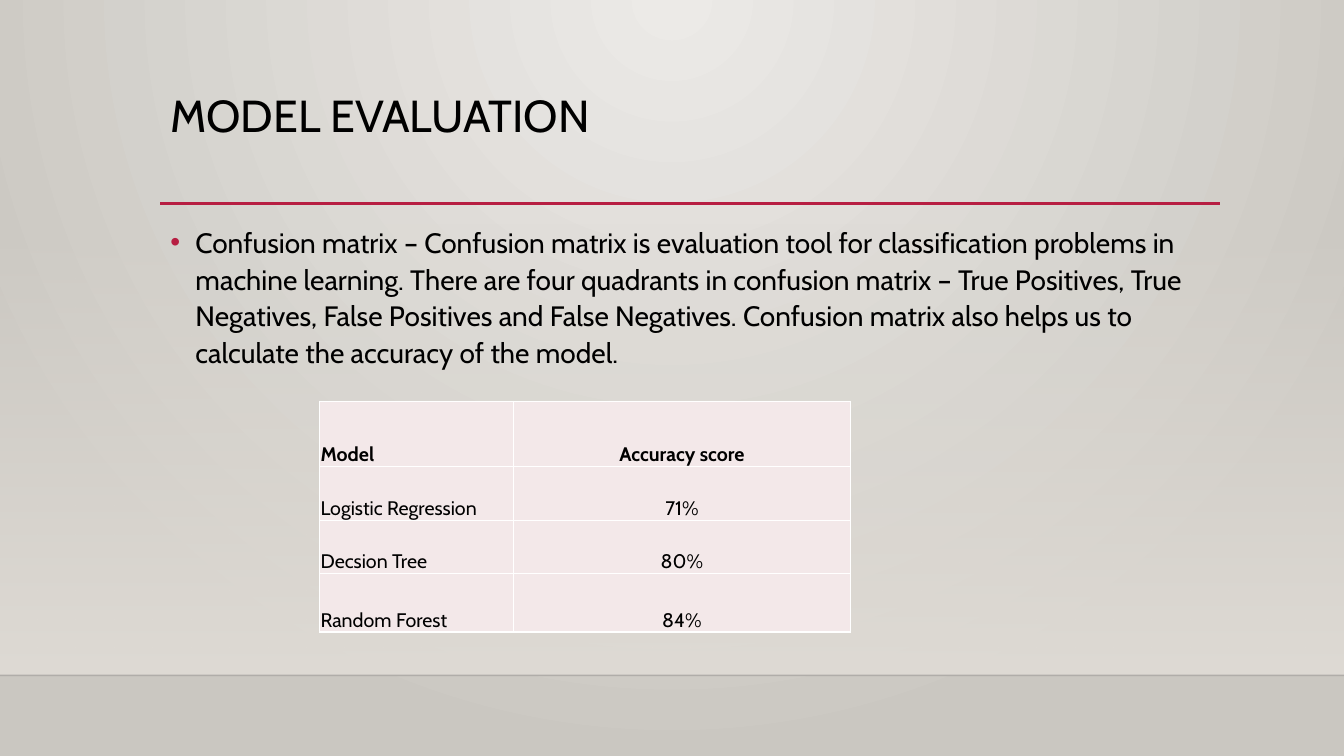
from dataclasses import dataclass

from lxml.etree import SubElement, _Element as Element
from pptx import Presentation
from pptx.dml.color import RGBColor
from pptx.enum.shapes import MSO_CONNECTOR as Connector, MSO_SHAPE as Shape
from pptx.enum.text import MSO_ANCHOR as Anchor, PP_ALIGN as Align
from pptx.oxml import parse_xml
from pptx.oxml.ns import nsdecls, qn
from pptx.slide import Slide
from pptx.table import _Cell as Cell
from pptx.text.text import _Paragraph as Paragraph
from pptx.util import Inches, Pt

SLIDE_WIDTH, SLIDE_HEIGHT = Inches(13.33), Inches(7.5)
FONT = "Cabin"
BLACK = RGBColor(0x00, 0x00, 0x00)
WHITE = RGBColor(0xFF, 0xFF, 0xFF)
CRIMSON = RGBColor(0xB7, 0x1E, 0x42)
BLUSH = RGBColor(0xF3, 0xE8, 0xE9)
LIGHT_STONE = RGBColor(0xEC, 0xEA, 0xE7)
STONE = RGBColor(0xDF, 0xDB, 0xD5)
DARK_STONE = RGBColor(0xCA, 0xC7, 0xC1)
FLOOR_EDGE = RGBColor(0x00, 0x00, 0x01)

# Shares of the slide, in percent
MARGIN, CONTENT_WIDTH = 11.93, 78.75
FLOOR_TOP = 89.33
WALL_TOP = 29.47
TABLE_LEFT, TABLE_TOP = 23.78, 53.07
COLUMN_SHARES = (14.4, 25.13)
ROW_SHARES = (8.67, 7.07, 7.07, 7.73)

SCORES = (
    ("Model", "Accuracy score"),
    ("Logistic Regression", "71%"),
    ("Decsion Tree", "80%"),
    ("Random Forest", "84%"),
)


@dataclass(frozen=True)
class Rule:
    left: float
    right: float
    y: float
    color: RGBColor
    width: float
    opacity: int = 100


@dataclass(frozen=True)
class TextBlock:
    top: float
    height: float
    text: str
    size: int
    line_spacing: float
    bulleted: bool = False


@dataclass(frozen=True)
class Stop:
    position: int
    color: RGBColor
    opacity: int = 100


RULES = (
    Rule(0, 100, FLOOR_TOP, FLOOR_EDGE, 1, opacity=20),
    Rule(MARGIN, 90.77, 26.93, CRIMSON, 2.5),
)
TEXT_BLOCKS = (
    TextBlock(11.73, 8.53, "MODEL EVALUATION", 32, 0.9),
    TextBlock(
        28.67, 21.33,
        "Confusion matrix – Confusion matrix is evaluation tool for classification "
        "problems in machine learning. There are four quadrants in confusion matrix – "
        "True Positives, True Negatives, False Positives and False Negatives. "
        "Confusion matrix also helps us to calculate the accuracy of the model.",
        20, 1.1, bulleted=True,
    ),
)


def across(share: float) -> int:
    return round(SLIDE_WIDTH * share / 100)


def down(share: float) -> int:
    return round(SLIDE_HEIGHT * share / 100)


def gradient(stops: tuple[Stop, ...], direction: str) -> Element:
    stop_xml = "".join(
        f'<a:gs pos="{stop.position * 1000}"><a:srgbClr val="{stop.color}">'
        f'<a:alpha val="{stop.opacity * 1000}"/></a:srgbClr></a:gs>'
        for stop in stops
    )
    return parse_xml(
        f'<a:gradFill {nsdecls("a")} rotWithShape="1">'
        f"<a:gsLst>{stop_xml}</a:gsLst>{direction}</a:gradFill>"
    )


def replace_solid_fill(parent: Element, fill: Element) -> None:
    parent.replace(parent.find(qn("a:solidFill")), fill)


def add_text(paragraph: Paragraph, text: str, size: int, bold: bool = False) -> None:
    run = paragraph.add_run()
    run.text = text
    run.font.name = FONT
    run.font.size = Pt(size)
    run.font.bold = bold
    run.font.color.rgb = BLACK


def draw_backdrop(slide: Slide) -> None:
    slide.background.fill.solid()
    replace_solid_fill(
        slide.element.find(".//" + qn("p:bgPr")),
        gradient(
            (Stop(0, LIGHT_STONE), Stop(100, DARK_STONE)),
            '<a:path path="circle">'
            '<a:fillToRect l="43000" t="0" r="43000" b="100000"/></a:path>',
        ),
    )
    wall = slide.shapes.add_shape(
        Shape.RECTANGLE, 0, down(WALL_TOP), SLIDE_WIDTH, down(FLOOR_TOP - WALL_TOP)
    )
    wall.shadow.inherit = False
    wall.line.fill.background()
    wall.fill.solid()
    replace_solid_fill(
        wall.element.spPr,
        gradient((Stop(0, STONE, 0), Stop(100, STONE)), '<a:lin ang="5400000" scaled="0"/>'),
    )


def draw_rule(slide: Slide, rule: Rule) -> None:
    line = slide.shapes.add_connector(
        Connector.STRAIGHT, across(rule.left), down(rule.y), across(rule.right), down(rule.y)
    )
    line.line.color.rgb = rule.color
    line.line.width = Pt(rule.width)
    properties = line.element.spPr
    if rule.opacity < 100:
        color = properties.find(".//" + qn("a:srgbClr"))
        SubElement(color, qn("a:alpha"), val=str(rule.opacity * 1000))
    SubElement(properties, qn("a:effectLst"))


def add_bullet(paragraph: Paragraph) -> None:
    properties = paragraph._p.get_or_add_pPr()
    indent = Inches(0.25)
    properties.set("marL", str(indent))
    properties.set("indent", str(-indent))
    color = SubElement(properties, qn("a:buClr"))
    SubElement(color, qn("a:srgbClr"), val=str(CRIMSON))
    SubElement(properties, qn("a:buFont"), typeface="Arial")
    SubElement(properties, qn("a:buChar"), char="•")


def draw_text_block(slide: Slide, block: TextBlock) -> None:
    box = slide.shapes.add_textbox(
        across(MARGIN), down(block.top), across(CONTENT_WIDTH), down(block.height)
    )
    box.text_frame.word_wrap = True
    paragraph = box.text_frame.paragraphs[0]
    paragraph.line_spacing = block.line_spacing
    if block.bulleted:
        paragraph.space_before = Pt(10)
        add_bullet(paragraph)
    add_text(paragraph, block.text, block.size)


def style_cell(cell: Cell) -> None:
    properties = cell._tc.get_or_add_tcPr()
    for side in ("lnL", "lnR", "lnT", "lnB"):
        border = SubElement(properties, qn(f"a:{side}"), w=str(Pt(1)))
        fill = SubElement(border, qn("a:solidFill"))
        SubElement(fill, qn("a:srgbClr"), val=str(WHITE))
    cell.fill.solid()
    cell.fill.fore_color.rgb = BLUSH
    cell.vertical_anchor = Anchor.BOTTOM
    cell.margin_left = cell.margin_right = cell.margin_top = Inches(0.01)
    cell.margin_bottom = 0


def draw_score_table(slide: Slide) -> None:
    table = slide.shapes.add_table(
        len(ROW_SHARES), len(COLUMN_SHARES), across(TABLE_LEFT), down(TABLE_TOP),
        across(sum(COLUMN_SHARES)), down(sum(ROW_SHARES)),
    ).table
    for column, share in zip(table.columns, COLUMN_SHARES):
        column.width = across(share)
    for row, share in zip(table.rows, ROW_SHARES):
        row.height = down(share)
    for row_index, score in enumerate(SCORES):
        for column_index, text in enumerate(score):
            cell = table.cell(row_index, column_index)
            style_cell(cell)
            paragraph = cell.text_frame.paragraphs[0]
            paragraph.alignment = Align.CENTER if column_index else Align.LEFT
            add_text(paragraph, text, 14, bold=row_index == 0)


def main() -> None:
    presentation = Presentation()
    presentation.slide_width, presentation.slide_height = SLIDE_WIDTH, SLIDE_HEIGHT
    slide = presentation.slides.add_slide(presentation.slide_layouts[6])
    draw_backdrop(slide)
    for rule in RULES:
        draw_rule(slide, rule)
    for block in TEXT_BLOCKS:
        draw_text_block(slide, block)
    draw_score_table(slide)
    presentation.save("out.pptx")


if __name__ == "__main__":
    main()
